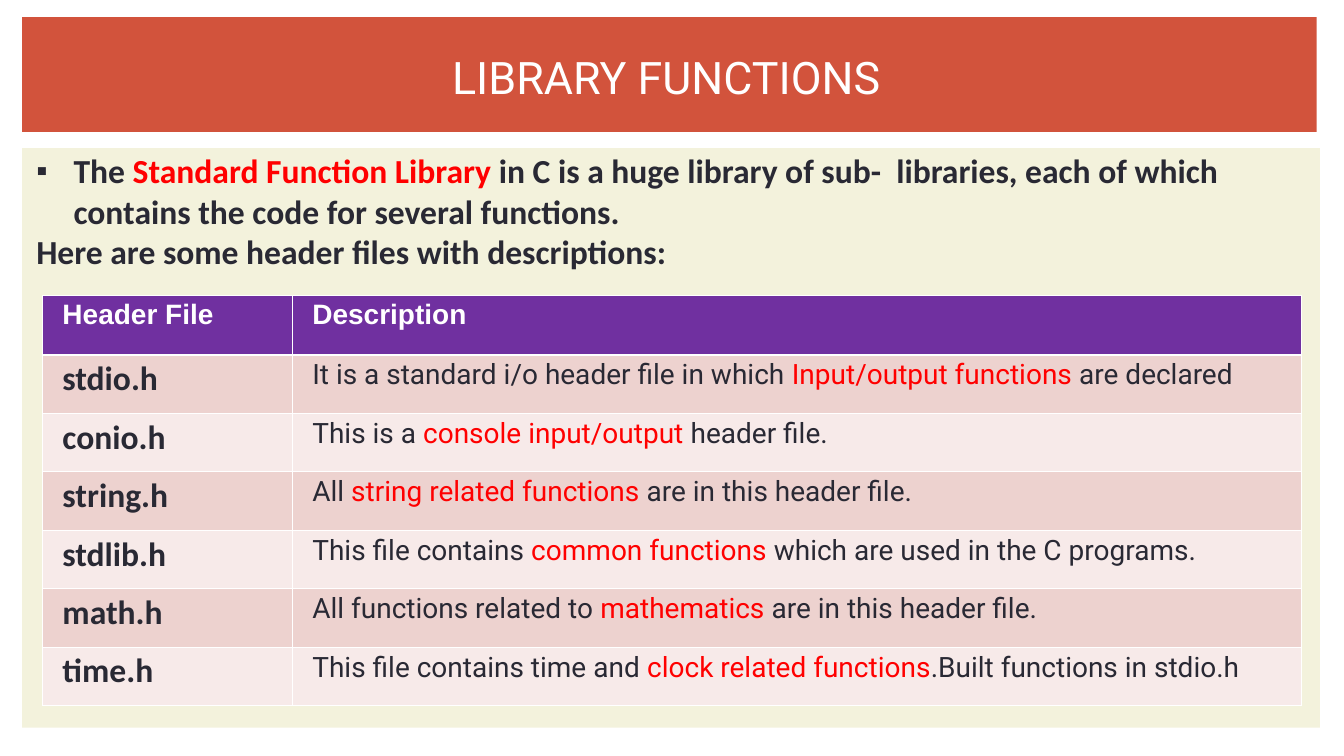
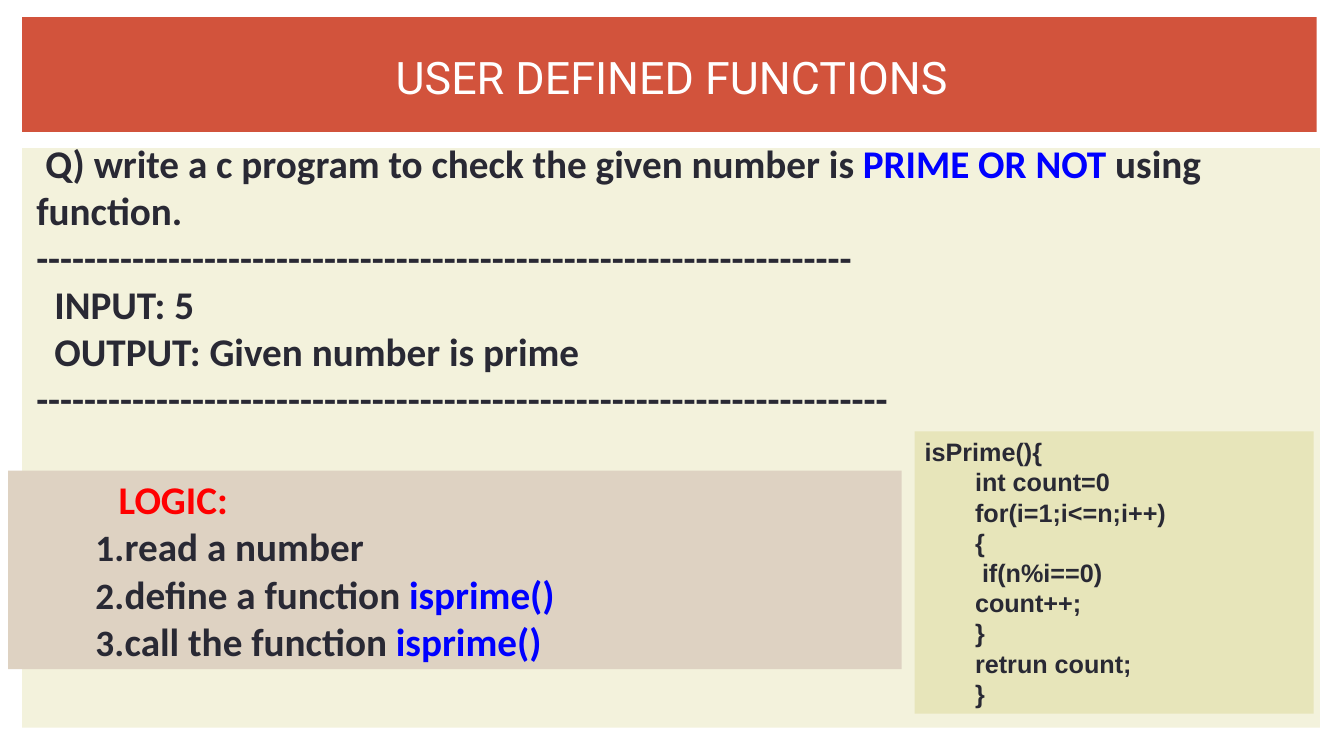
from pptx import Presentation
from pptx.dml import color
from pptx.enum import shapes, text
from pptx.oxml import parse_xml
from pptx.oxml import ns
from pptx.util import Inches, Pt

COLORS = {
    "white": "FFFFFF", "ink": "292934", "red": "FF0000", "blue": "0000FF",
    "band": "D2533C", "panel": "F3F2DC", "logic": "DED2C2", "code": "E7E5BA",
    "header": "7030A0", "odd_row": "EDD2CF", "even_row": "F7EAE9",
}
TITLE_BOX = (0.56, 0.21, 12.22, 1.1)
BAND_BOX = (0.22, 0.17, 12.85, 1.14)
PANEL_BOX = (0.22, 1.47, 12.88, 5.75)

HEADER_FILES = [
    ("stdio.h", "It is a standard i/o header file in which "
                "|Input/output functions |are declared"),
    ("conio.h", "This is a |console input/output |header file."),
    ("string.h", "All |string related functions |are in this header file."),
    ("stdlib.h", "This file contains |common functions| which are used in the C programs."),
    ("math.h", "All functions related to |mathematics| are in this header file."),
    ("time.h", "This file contains time and |clock related functions|"
               ".Built functions in stdio.h"),
]
CODE_LINES = ["int count=0", "for(i=1;i<=n;i++)", "{", " if(n%i==0)",
              "count++;", "}", "retrun count;", "}"]


def rgb(name):
    return color.RGBColor.from_string(COLORS[name])


def place(shape, box):
    shape.left, shape.top, shape.width, shape.height = map(Inches, box)


# Text
def set_bullet(paragraph, bullet):
    """Give the paragraph a bullet character, a number ("1.") or none."""
    properties = paragraph._p.get_or_add_pPr()
    if bullet is None:
        parts = ["<a:buNone %s/>"]
    else:
        mark = ('<a:buAutoNum %s type="arabicPeriod"/>' if bullet == "1."
                else f'<a:buChar %s char="{bullet}"/>')
        parts = [f'<a:buClr %s><a:srgbClr val="{COLORS["ink"]}"/></a:buClr>',
                 '<a:buSzPct %s val="95000"/>', mark]
    for part in parts:
        properties.append(parse_xml(part % ns.nsdecls("a")))


def write(frame, content, size=24, font="Calibri", ink="ink", highlight="red",
          bold=True, align=text.PP_ALIGN.LEFT, margin=0, indent=0, bullet=None):
    """Append a paragraph; text between | signs takes the highlight colour."""
    paragraph = frame.add_paragraph() if frame.text else frame.paragraphs[0]
    properties = paragraph._p.get_or_add_pPr()
    properties.set("marL", str(Inches(margin)))
    properties.set("indent", str(Inches(indent)))
    set_bullet(paragraph, bullet)
    paragraph.alignment = align
    paragraph.space_before = Pt(0)
    for position, part in enumerate(content.split("|")):
        if part:
            run = paragraph.add_run()
            run.text = part
            run.font.size = Pt(size)
            run.font.name = font
            run.font.bold = bold
            run.font.color.rgb = rgb(highlight if position % 2 else ink)


def prepare_frame(shape):
    frame = shape.text_frame
    frame.word_wrap = True
    frame.auto_size = text.MSO_AUTO_SIZE.NONE
    frame.vertical_anchor = text.MSO_ANCHOR.TOP
    return frame


# Shared parts
def add_rectangle(slide, box, fill):
    shape = slide.shapes.add_shape(shapes.MSO_SHAPE.RECTANGLE, *map(Inches, box))
    shape.shadow.inherit = False
    shape.fill.solid()
    shape.fill.fore_color.rgb = rgb(fill)
    shape.line.fill.background()
    return shape


def decorate_layout(layout, slide):
    """Move the band and the panel into the layout, behind its placeholders."""
    for number, (box, fill) in enumerate([(BAND_BOX, "band"), (PANEL_BOX, "panel")]):
        element = add_rectangle(slide, box, fill)._element
        element.nvSpPr.cNvPr.set("id", str(20 + number))
        layout.shapes._spTree.insert(2, element)


def add_titled_slide(presentation, title, body_box):
    """Add a slide with its title and return it with its body text frame."""
    slide = presentation.slides.add_slide(presentation.slide_layouts[1])
    place(slide.shapes.title, TITLE_BOX)
    frame = prepare_frame(slide.shapes.title)
    frame.vertical_anchor = text.MSO_ANCHOR.MIDDLE
    write(frame, title, size=32, font="Roboto", ink="white", bold=False,
          align=text.PP_ALIGN.CENTER)
    body = slide.placeholders[1]
    place(body, body_box)
    return slide, prepare_frame(body)


# Table
def set_borders(cell, top, bottom):
    properties = cell._tc.get_or_add_tcPr()
    widths = {"lnL": 0.45, "lnR": 0.45, "lnT": top, "lnB": bottom}
    for position, (side, width) in enumerate(widths.items()):
        properties.insert(position, parse_xml(
            f'<a:{side} {ns.nsdecls("a")} w="{Pt(width)}"><a:solidFill>'
            f'<a:srgbClr val="{COLORS["white"]}"/></a:solidFill></a:{side}>'))


def add_header_table(slide, box):
    rows = [("Header File", "Description")] + HEADER_FILES
    table = slide.shapes.add_table(len(rows), 2, *map(Inches, box)).table
    name_width = 2.48
    table.columns[0].width = Inches(name_width)
    table.columns[1].width = Inches(box[2] - name_width)
    header_style = dict(size=20, font="Arial", ink="white")
    body_styles = [dict(size=24), dict(size=20, font="Roboto", bold=False)]
    for row, contents in enumerate(rows):
        table.rows[row].height = Inches(0.58 if row else 0.59)
        fill = ("odd_row" if row % 2 else "even_row") if row else "header"
        for column, content in enumerate(contents):
            cell = table.cell(row, column)
            cell.margin_left, cell.margin_right = Inches(0.2), Inches(0)
            cell.margin_top, cell.margin_bottom = Inches(0.04), Inches(0)
            cell.fill.solid()
            cell.fill.fore_color.rgb = rgb(fill)
            set_borders(cell, top=1.5 if row == 1 else 0.45,
                        bottom=0.45 if row else 1.5)
            write(cell.text_frame, content,
                  **(body_styles[column] if row else header_style))


# Boxes of the exercise
def add_logic_box(slide, box):
    frame = prepare_frame(add_rectangle(slide, box, "logic"))
    write(frame, "LOGIC:", size=28, ink="red", margin=1)
    for step in ("read a number", "define a function |isprime()|",
                 "call the function |isprime()|"):
        write(frame, step, size=28, highlight="blue", margin=1.06, indent=-0.29,
              bullet="1.")


def add_code_box(slide, box):
    frame = prepare_frame(add_rectangle(slide, box, "code"))
    write(frame, "isPrime(){", size=18, font="Arial")
    for line in CODE_LINES:
        write(frame, line, size=18, font="Arial", margin=0.5)


# Slides
def build_library_slide(presentation):
    slide, body = add_titled_slide(presentation, "LIBRARY FUNCTIONS ",
                                   (0.24, 1.44, 12.89, 1.3))
    write(body, "The |Standard Function Library |in C is a huge library of sub-  "
                "libraries, each of which contains the code for several functions.",
          margin=0.39, indent=-0.37, bullet="▪")
    write(body, "Here are some header files with descriptions:", margin=0.02)
    add_header_table(slide, (0.42, 2.93, 12.5, 4.07))
    return slide


def build_exercise_slide(presentation):
    slide, body = add_titled_slide(presentation, "USER DEFINED FUNCTIONS",
                                   (0.25, 1.33, 12.88, 2.9))
    write(body, "Q) write a c program to check the given number is "
                "|PRIME OR NOT |using function.",
          size=28, highlight="blue", margin=0.01, indent=0.09)
    for content, margin in [("-" * 68, 0.01), ("INPUT: 5", 0.19),
                            ("OUTPUT: Given number is prime", 0.19),
                            ("-" * 71, 0.01)]:
        write(body, content, size=28, margin=margin)
    add_logic_box(slide, (0.08, 4.67, 8.87, 1.97))
    add_code_box(slide, (9.08, 4.28, 3.96, 2.8))


def main():
    presentation = Presentation()
    presentation.slide_width = Inches(13.34)
    presentation.slide_height = Inches(7.5)
    library_slide = build_library_slide(presentation)
    decorate_layout(library_slide.slide_layout, library_slide)
    build_exercise_slide(presentation)
    presentation.save("out.pptx")


if __name__ == "__main__":
    main()
